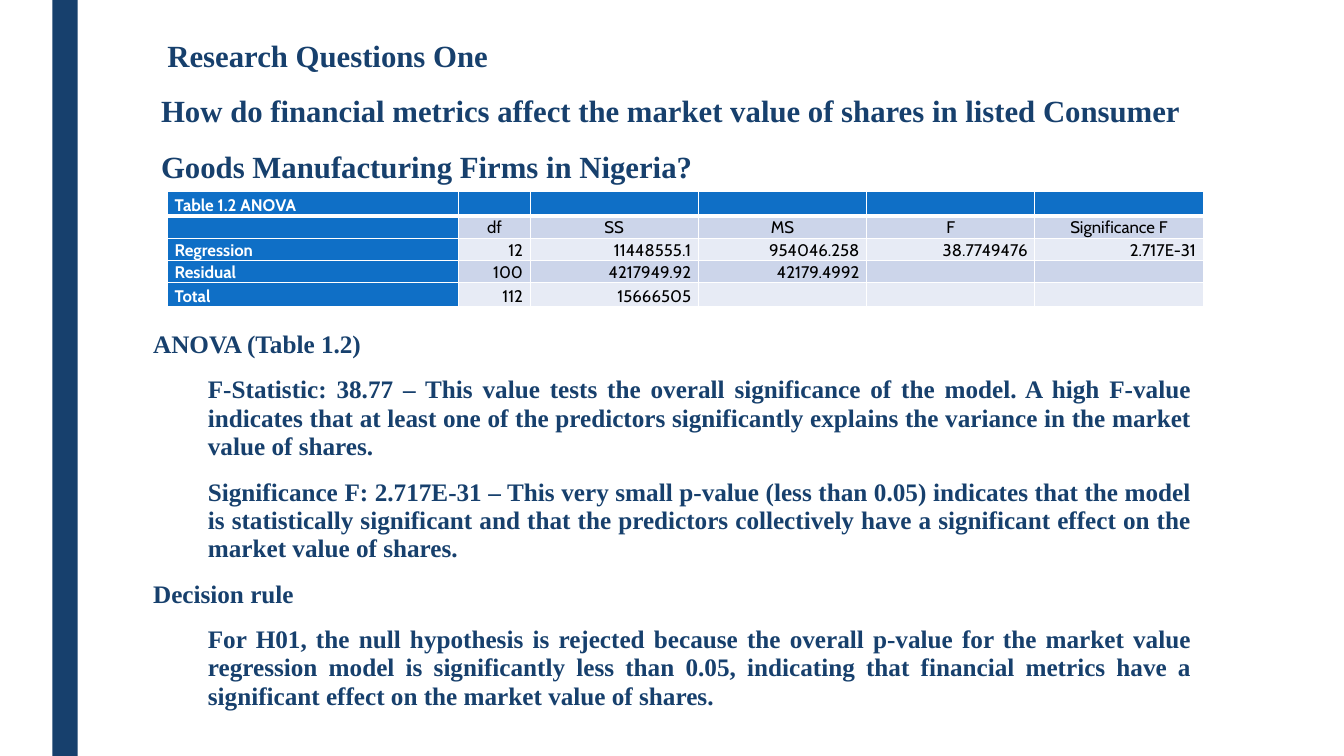
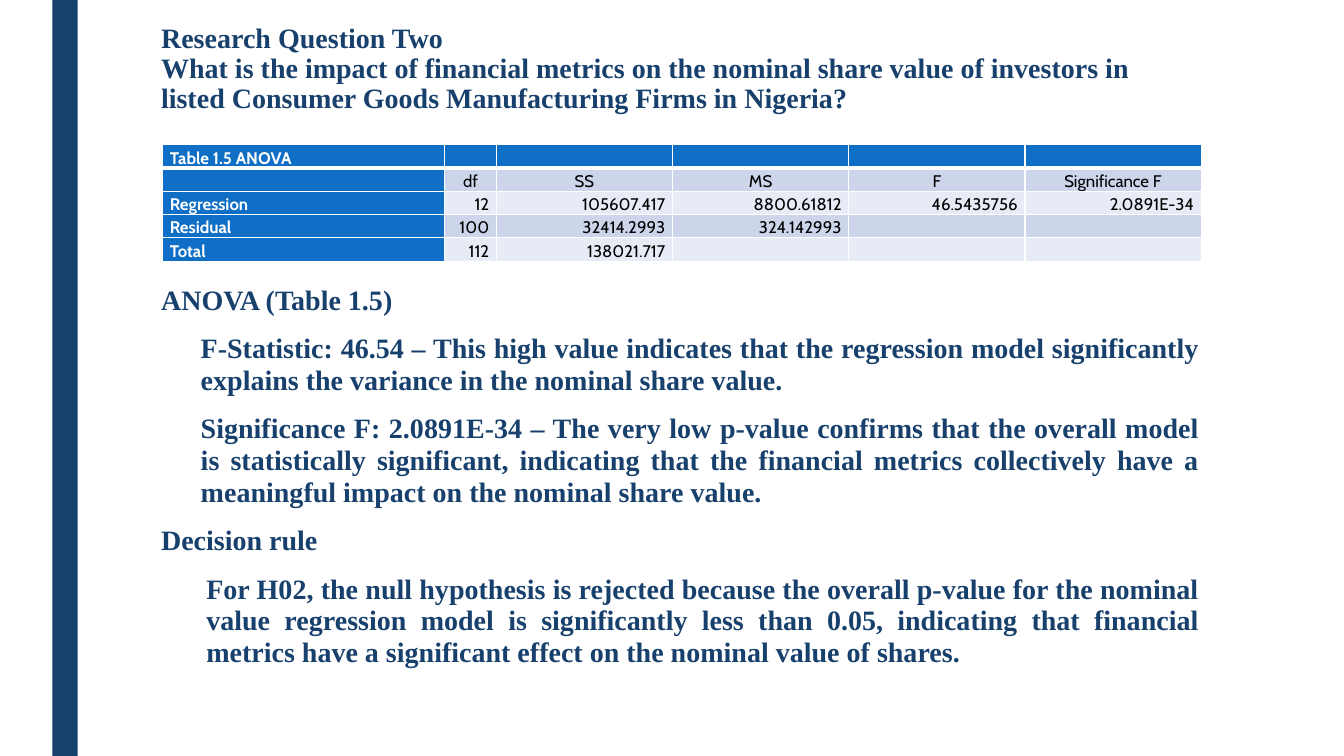
from lxml.etree import SubElement
from pptx import Presentation
from pptx.dml.color import RGBColor
from pptx.enum.shapes import MSO_SHAPE as Preset
from pptx.enum.text import MSO_ANCHOR as Anchor, PP_ALIGN as Align
from pptx.oxml.ns import qn
from pptx.util import Cm, Pt

COLORS = {
    "navy": "17406D",
    "header": "0F6FC6",
    "band_dark": "CCD5EA",
    "band_light": "E7EBF5",
    "white": "FFFFFF",
    "black": "000000",
}
TEXT_FONT, TABLE_FONT = "Times New Roman", "Cabin"
SLIDE_W, SLIDE_H = Cm(33.87), Cm(19.05)
TEXT_W = Cm(26.67)
SINGLE = 1.2  # height of a single-spaced line, in font sizes
COLUMN_HEADS = ["", "df", "SS", "MS", "F", "Significance F"]


def color(name):
    return RGBColor.from_string(COLORS[name])


def style(paragraph, font_name, size, color_name, bold, align=Align.LEFT):
    paragraph.alignment = align
    font = paragraph.font
    font.name, font.size, font.bold = font_name, Pt(size), bold
    font.color.rgb = color(color_name)


def add_band(slide):
    band = slide.shapes.add_shape(Preset.RECTANGLE, Cm(1.32), 0, Cm(0.64), SLIDE_H)
    band.shadow.inherit = False
    band.fill.solid()
    band.fill.fore_color.rgb = color("navy")
    band.line.fill.background()


def add_text_frame(slide, left, top, height):
    frame = slide.shapes.add_textbox(left, top, TEXT_W, height).text_frame
    frame.word_wrap = True
    frame.vertical_anchor = Anchor.TOP
    return frame


def add_title(slide, left, top, height, lines, size, spacing, indent=0):
    title = add_text_frame(slide, left, top, height).paragraphs[0]
    title.text = "\v".join(lines)  # one paragraph with line breaks
    style(title, TEXT_FONT, size, "navy", True)
    title.line_spacing = Pt(size * SINGLE * spacing)
    title._p.get_or_add_pPr().set("indent", str(Cm(indent)))


def add_findings(slide, left, top, height, findings, size):
    """Place (indent in cm, text) paragraphs below the table."""
    frame = add_text_frame(slide, left, top, height)
    for number, (indent, text) in enumerate(findings):
        finding = frame.add_paragraph() if number else frame.paragraphs[0]
        finding.text = text
        style(finding, TEXT_FONT, size, "navy", True,
              Align.JUSTIFY if number else Align.LEFT)
        finding.line_spacing = Pt(round(size * SINGLE * 0.94, 1))
        finding.space_before = Pt(10 if number else 0)
        finding.space_after = Pt(2)
        finding._p.get_or_add_pPr().set("marL", str(Cm(indent)))


def set_borders(cell, top, bottom):
    props = cell._tc.get_or_add_tcPr()
    for side, width in (("L", 1), ("R", 1), ("T", top), ("B", bottom)):
        border = SubElement(props, qn(f"a:ln{side}"), w=str(Pt(width)))
        fill = SubElement(border, qn("a:solidFill"))
        SubElement(fill, qn("a:srgbClr"), val=COLORS["white"])


def add_anova(slide, left, top, col_widths, row_heights, caption, results):
    rows = [[caption] + [""] * 5, COLUMN_HEADS]
    rows += [row + [""] * (6 - len(row)) for row in results]
    table = slide.shapes.add_table(
        len(rows), 6, left, top, sum(col_widths), sum(row_heights)).table
    table.first_row = table.horz_banding = False
    for column, width in zip(table.columns, col_widths):
        column.width = width

    for r, (values, height) in enumerate(zip(rows, row_heights)):
        table.rows[r].height = height
        for c, value in enumerate(values):
            cell = table.cell(r, c)
            is_head = r == 0 or c == 0
            set_borders(cell, 3 if r == 1 else 1, 3 if r == 0 else 1)
            cell.fill.solid()
            cell.fill.fore_color.rgb = color(
                "header" if is_head else "band_dark" if r % 2 else "band_light")
            cell.margin_left = cell.margin_right = Cm(0.18)
            cell.margin_top = cell.margin_bottom = 0
            cell.vertical_anchor = Anchor.BOTTOM
            label = cell.text_frame.paragraphs[0]
            label.text = value
            align = Align.LEFT if is_head else Align.CENTER if r == 1 else Align.RIGHT
            style(label, TABLE_FONT, 12, "white" if is_head else "black", is_head, align)


def add_question_slide(deck, title, anova, findings):
    slide = deck.slides.add_slide(deck.slide_layouts[6])
    add_band(slide)
    add_title(slide, **title)
    add_findings(slide, **findings)
    add_anova(slide, **anova)


def main():
    deck = Presentation()
    deck.slide_width, deck.slide_height = SLIDE_W, SLIDE_H

    # Research question one
    add_question_slide(
        deck,
        title=dict(
            left=Cm(3.81), top=Cm(0.33), height=Cm(4.11), size=22, spacing=1.5,
            indent=0.16,
            lines=["Research Questions One",
                   "How do financial metrics affect the market value of shares in "
                   "listed Consumer Goods Manufacturing Firms in Nigeria?"]),
        anova=dict(
            left=Cm(4.22), top=Cm(4.83),
            col_widths=[Cm(7.34), Cm(1.8)] + [Cm(4.24)] * 4,
            row_heights=[Cm(0.61)] + [Cm(0.56)] * 3 + [Cm(0.61)],
            caption="Table 1.2 ANOVA",
            results=[["Regression", "12", "11448555.1", "954046.258",
                      "38.7749476", "2.717E-31"],
                     ["Residual", "100", "4217949.92", "42179.4992"],
                     ["Total", "112", "15666505"]]),
        findings=dict(
            left=Cm(3.61), top=Cm(8.2), height=Cm(9.96), size=18,
            findings=[
                (0, "ANOVA (Table 1.2)"),
                (1.38, "F-Statistic: 38.77 – This value tests the overall "
                       "significance of the model. A high F-value indicates that at "
                       "least one of the predictors significantly explains the "
                       "variance in the market value of shares."),
                (1.38, "Significance F: 2.717E-31 – This very small p-value (less "
                       "than 0.05) indicates that the model is statistically "
                       "significant and that the predictors collectively have a "
                       "significant effect on the market value of shares."),
                (0, "Decision rule"),
                (1.38, "For H01, the null hypothesis is rejected because the overall "
                       "p-value for the market value regression model is "
                       "significantly less than 0.05, indicating that financial "
                       "metrics have a significant effect on the market value of "
                       "shares."),
            ]))

    # Research question two
    add_question_slide(
        deck,
        title=dict(
            left=Cm(3.81), top=Cm(0.48), height=Cm(2.69), size=20, spacing=0.89,
            lines=["Research Question Two",
                   "What is the impact of financial metrics on the nominal share "
                   "value of investors in listed Consumer Goods Manufacturing Firms "
                   "in Nigeria?"]),
        anova=dict(
            left=Cm(4.1), top=Cm(3.63),
            col_widths=[Cm(7.11), Cm(1.3)] + [Cm(4.44)] * 4,
            row_heights=[Cm(0.61)] + [Cm(0.58)] * 3 + [Cm(0.61)],
            caption="Table 1.5 ANOVA",
            results=[["Regression", "12", "105607.417", "8800.61812",
                      "46.5435756", "2.0891E-34"],
                     ["Residual", "100", "32414.2993", "324.142993"],
                     ["Total", "112", "138021.717"]]),
        findings=dict(
            left=Cm(3.81), top=Cm(7.04), height=Cm(9.96), size=20,
            findings=[
                (0, "ANOVA (Table 1.5)"),
                (1, "F-Statistic: 46.54 – This high value indicates that the "
                    "regression model significantly explains the variance in the "
                    "nominal share value."),
                (1, "Significance F: 2.0891E-34 – The very low p-value confirms that "
                    "the overall model is statistically significant, indicating that "
                    "the financial metrics collectively have a meaningful impact on "
                    "the nominal share value."),
                (0, "Decision rule"),
                (1.14, "For H02, the null hypothesis is rejected because the overall "
                       "p-value for the nominal value regression model is "
                       "significantly less than 0.05, indicating that financial "
                       "metrics have a significant effect on the nominal value of "
                       "shares."),
            ]))

    deck.save("out.pptx")


if __name__ == "__main__":
    main()
